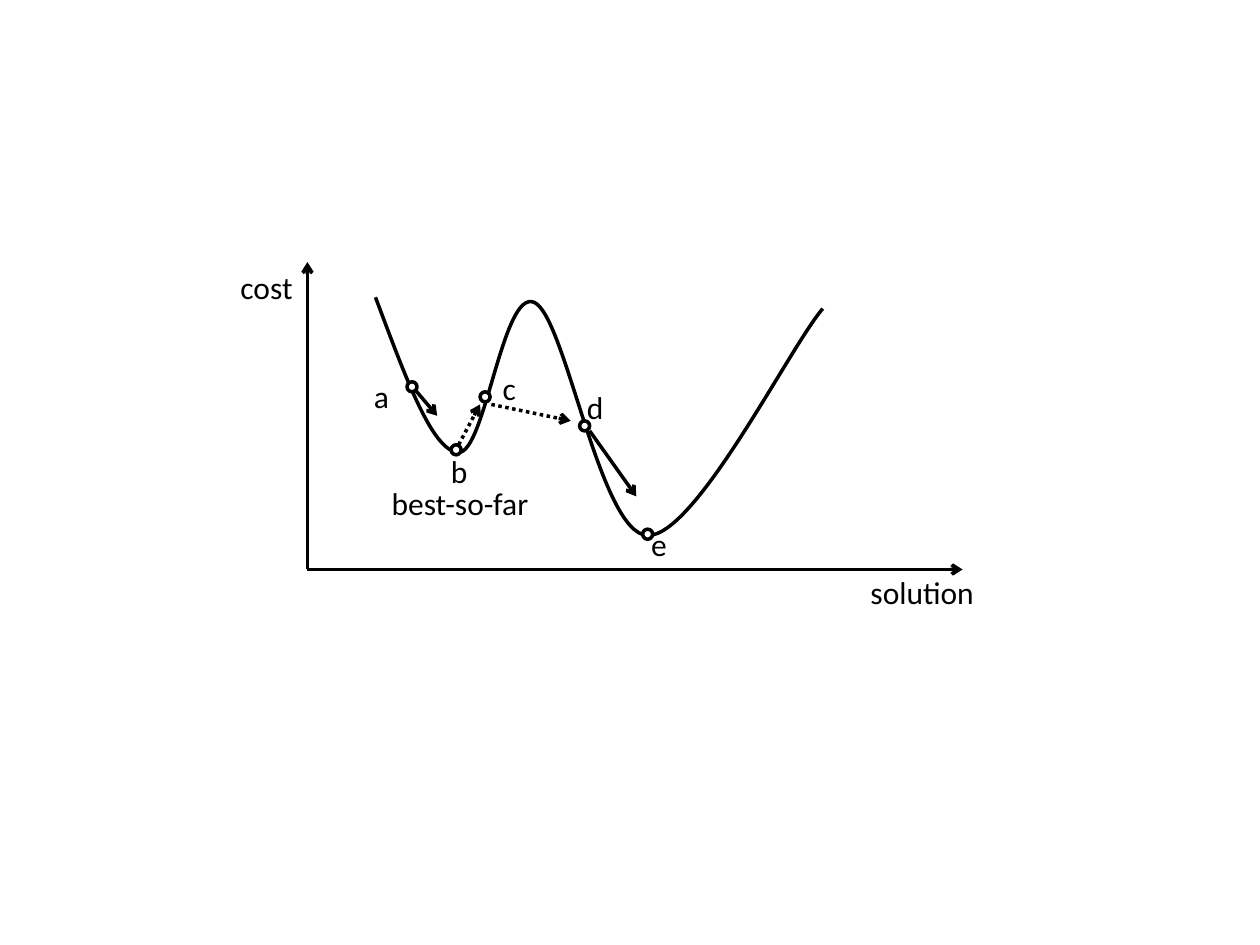
"""Build a slide showing a local search escaping a local minimum on a cost curve."""

from dataclasses import dataclass

from lxml.etree import SubElement
from pptx import Presentation
from pptx.dml.color import RGBColor
from pptx.enum.dml import MSO_LINE
from pptx.enum.shapes import MSO_CONNECTOR, MSO_SHAPE
from pptx.enum.text import MSO_AUTO_SIZE
from pptx.oxml.ns import qn
from pptx.util import Inches, Pt

COLORS = {"ink": "000000", "paper": "FFFFFF"}
FONT = "Calibri"
LABEL_HEIGHT = 0.4
DOT_SIZE = 0.08
LINE_WIDTH = 2


@dataclass(frozen=True)
class Label:
    text: str
    left: float
    top: float
    width: float = 0.4
    filled: bool = True


@dataclass(frozen=True)
class Arrow:
    start: tuple[float, float]
    end: tuple[float, float]
    dotted: bool = False


LABELS = [
    Label("best-so-far", 3.01, 3.79, 1.44),
    Label("cost", 1.81, 2.08, 0.63),
    Label("solution", 6.81, 4.5, 1.08),
    Label("a", 2.87, 2.94),
    Label("c", 3.89, 2.88),
    Label("e", 5.07, 4.12),
    Label("b", 3.48, 3.54, 0.36),
]
TOP_LABEL = Label("d", 4.56, 3.03, filled=False)

ORIGIN = (2.44, 4.52)
AXES = [Arrow(ORIGIN, (7.64, 4.52)), Arrow(ORIGIN, (2.44, 2.08))]
MOVES = [
    Arrow((3.3, 3.1), (3.47, 3.3)),
    Arrow((4.68, 3.42), (5.05, 3.94)),
    Arrow((3.9, 3.21), (4.53, 3.34), dotted=True),
    Arrow((3.64, 3.53), (3.81, 3.21), dotted=True),
]
DOTS = [(3.58, 3.53), (3.23, 3.03), (5.1, 4.2), (3.81, 3.11), (4.6, 3.34)]

CURVE_START = (2.98, 2.36)
CURVE_CONTROLS = [
    (3.21, 2.97), (3.43, 3.59), (3.64, 3.59),
    (3.85, 3.6), (3.99, 2.29), (4.24, 2.4),
    (4.49, 2.51), (4.76, 4.24), (5.14, 4.25),
    (5.52, 4.26), (6.27, 2.75), (6.53, 2.45),
]


def color(name: str) -> RGBColor:
    """Look up a named colour."""
    return RGBColor.from_string(COLORS[name])


def style_outline(shape) -> None:
    """Give a shape a white fill, a black outline and no shadow."""
    shape.shadow.inherit = False
    shape.fill.solid()
    shape.fill.fore_color.rgb = color("paper")
    shape.line.color.rgb = color("ink")
    shape.line.width = Pt(LINE_WIDTH)


def draw_label(slide, label: Label) -> None:
    """Draw one text label."""
    box = slide.shapes.add_textbox(
        Inches(label.left), Inches(label.top), Inches(label.width), Inches(LABEL_HEIGHT)
    )
    if label.filled:
        box.fill.solid()
        box.fill.fore_color.rgb = color("paper")
    frame = box.text_frame
    frame.word_wrap = True
    frame.auto_size = MSO_AUTO_SIZE.SHAPE_TO_FIT_TEXT
    paragraph = frame.paragraphs[0]
    paragraph.text = label.text
    paragraph.font.name = FONT
    paragraph.font.size = Pt(18)
    paragraph.font.color.rgb = color("ink")


def draw_arrow(slide, arrow: Arrow) -> None:
    """Draw a straight line with an open arrowhead at its end."""
    connector = slide.shapes.add_connector(
        MSO_CONNECTOR.STRAIGHT, *map(Inches, arrow.start + arrow.end)
    )
    connector.line.color.rgb = color("ink")
    connector.line.width = Pt(LINE_WIDTH)
    if arrow.dotted:
        connector.line.dash_style = MSO_LINE.ROUND_DOT
    properties = connector._element.spPr
    SubElement(properties.find(qn("a:ln")), qn("a:tailEnd"), type="arrow")
    SubElement(properties, qn("a:effectLst"))


def draw_dot(slide, left: float, top: float) -> None:
    """Draw one small circle marking a solution."""
    dot = slide.shapes.add_shape(
        MSO_SHAPE.OVAL, Inches(left), Inches(top), Inches(DOT_SIZE), Inches(DOT_SIZE)
    )
    style_outline(dot)


def draw_curve(slide) -> None:
    """Draw the cost curve as a chain of cubic segments."""
    builder = slide.shapes.build_freeform(*map(Inches, CURVE_START))
    builder.add_line_segments(
        [(Inches(x), Inches(y)) for x, y in CURVE_CONTROLS], close=False
    )
    curve = builder.convert_to_shape()
    style_outline(curve)
    outline = next(curve._element.iter(qn("a:path")))
    segments = outline.findall(qn("a:lnTo"))
    for first in range(0, len(segments), 3):
        cubic = SubElement(outline, qn("a:cubicBezTo"))
        for segment in segments[first:first + 3]:
            cubic.append(segment[0])
            outline.remove(segment)


def main() -> None:
    """Build and save the presentation."""
    presentation = Presentation()
    presentation.slide_width = Inches(10)
    presentation.slide_height = Inches(7.5)
    slide = presentation.slides.add_slide(presentation.slide_layouts[6])
    for label in LABELS:
        draw_label(slide, label)
    for axis in AXES:
        draw_arrow(slide, axis)
    draw_curve(slide)
    for left, top in DOTS:
        draw_dot(slide, left, top)
    for move in MOVES:
        draw_arrow(slide, move)
    draw_label(slide, TOP_LABEL)
    presentation.save("out.pptx")


if __name__ == "__main__":
    main()
